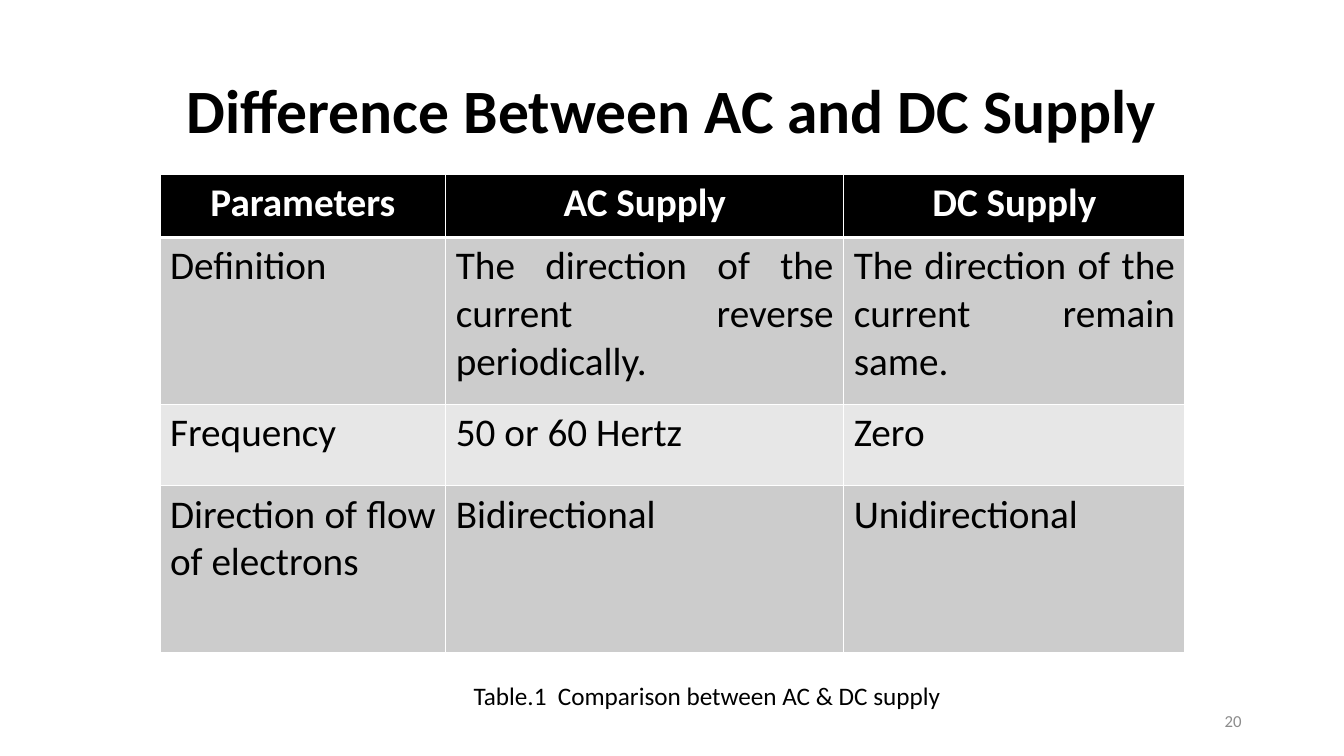
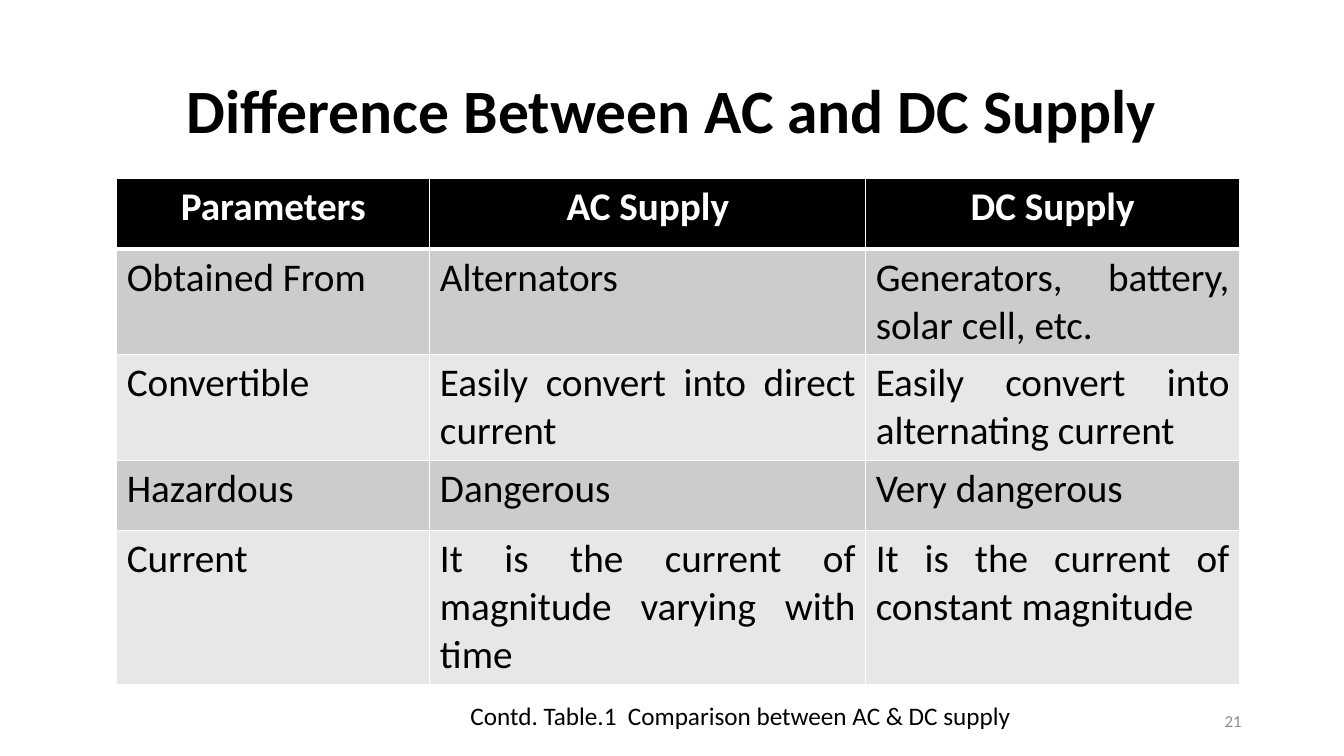
from dataclasses import dataclass

from lxml.etree import SubElement
from pptx import Presentation
from pptx.dml.color import RGBColor
from pptx.enum.text import MSO_ANCHOR as Anchor, MSO_AUTO_SIZE as AutoSize, PP_ALIGN as Align
from pptx.oxml.ns import qn
from pptx.util import Pt

# Shared style
FONT = "Calibri"
TITLE = "Difference Between AC and DC Supply"
HEADER = ("Parameters", "AC Supply", "DC Supply")
COLORS = {
    "text": "000000",
    "header": "000000",
    "header_text": "FFFFFF",
    "band_dark": "CCCCCC",
    "band_light": "E7E7E7",
    "border": "FFFFFF",
    "number": "8C8C8C",
}
TITLE_ONLY = 5
THIN, THICK = 1, 3


@dataclass(frozen=True)
class Box:
    left: float
    top: float
    width: float
    height: float

    def emu(self) -> tuple:
        return Pt(self.left), Pt(self.top), Pt(self.width), Pt(self.height)


@dataclass(frozen=True)
class ComparisonSlide:
    number: int
    left: float
    top: float
    col_widths: tuple
    row_heights: tuple
    rows: tuple
    caption: str
    caption_box: Box


TITLE_BOX = Box(66, 28.8, 828, 104.4)
NUMBER_BOX = Box(678, 500.5, 216, 28.75)

SLIDES = (
    ComparisonSlide(
        number=20, left=114.3, top=124.7,
        col_widths=(204.2, 284.2, 243.8),
        row_heights=(45, 119, 58.3, 119),
        rows=(
            ("Definition", "The direction of the current reverse periodically.",
             "The direction of the current remain same."),
            ("Frequency", "50 or 60 Hertz", "Zero"),
            ("Direction of flow of electrons", "Bidirectional", "Unidirectional"),
        ),
        caption="Table.1  Comparison between AC & DC supply",
        caption_box=Box(331.2, 482.6, 352, 29),
    ),
    ComparisonSlide(
        number=21, left=83.4, top=127.6,
        col_widths=(223.7, 311.3, 267),
        row_heights=(50.2, 75.5, 75.5, 50.2, 109.8),
        rows=(
            ("Obtained From", "Alternators", "Generators, battery, solar cell, etc."),
            ("Convertible", "Easily convert into direct current",
             "Easily convert into alternating current"),
            ("Hazardous", "Dangerous", "Very dangerous"),
            ("Current", "It is the current of magnitude varying with time",
             "It is the current of constant magnitude"),
        ),
        caption="Contd. Table.1  Comparison between AC & DC supply",
        caption_box=Box(329, 497, 403.2, 29),
    ),
)


def rgb(name: str) -> RGBColor:
    return RGBColor.from_string(COLORS[name])


def write(tf, text: str, size: float, color: str, align, bold: bool = False):
    """Fill a text frame with one formatted paragraph and return it."""
    tf.text = text
    p = tf.paragraphs[0]
    p.alignment = align
    p.font.name = FONT
    p.font.size = Pt(size)
    p.font.bold = bold
    p.font.color.rgb = rgb(color)
    return p


def set_borders(cell, top: float, bottom: float) -> None:
    tc_pr = cell._tc.get_or_add_tcPr()
    for tag, width in (("a:lnL", THIN), ("a:lnR", THIN), ("a:lnT", top), ("a:lnB", bottom)):
        ln = SubElement(tc_pr, qn(tag), w=str(Pt(width)))
        fill = SubElement(ln, qn("a:solidFill"))
        SubElement(fill, qn("a:srgbClr"), val=COLORS["border"])


def add_title(s) -> None:
    sp = s.shapes.title
    sp.left, sp.top, sp.width, sp.height = TITLE_BOX.emu()
    p = write(sp.text_frame, TITLE, 44, "text", Align.CENTER, bold=True)
    p.line_spacing = 0.9
    sp.text_frame.vertical_anchor = Anchor.MIDDLE
    sp.text_frame.auto_size = AutoSize.NONE


def add_number(s, number: int) -> None:
    tf = s.shapes.add_textbox(*NUMBER_BOX.emu()).text_frame
    tf.word_wrap = True
    tf.vertical_anchor = Anchor.MIDDLE
    write(tf, str(number), 12, "number", Align.RIGHT)


def add_caption(s, text: str, box: Box) -> None:
    tf = s.shapes.add_textbox(*box.emu()).text_frame
    tf.word_wrap = False
    tf.auto_size = AutoSize.SHAPE_TO_FIT_TEXT
    write(tf, text, 18, "text", Align.LEFT)


def add_comparison(s, data: ComparisonSlide) -> None:
    box = Box(data.left, data.top, sum(data.col_widths), sum(data.row_heights))
    grid = (HEADER, *data.rows)
    table = s.shapes.add_table(len(grid), len(HEADER), *box.emu()).table
    for column, width in zip(table.columns, data.col_widths):
        column.width = Pt(width)
    for row, height in zip(table.rows, data.row_heights):
        row.height = Pt(height)

    for i, texts in enumerate(grid):
        is_header = i == 0
        band = "header" if is_header else "band_dark" if i % 2 else "band_light"
        for j, text in enumerate(texts):
            cell = table.cell(i, j)
            set_borders(cell, THICK if i == 1 else THIN, THICK if is_header else THIN)
            cell.fill.solid()
            cell.fill.fore_color.rgb = rgb(band)
            write(cell.text_frame, text, 28,
                  "header_text" if is_header else "text",
                  Align.CENTER if is_header else Align.JUSTIFY, bold=is_header)


# Build the slides
prs = Presentation()
prs.slide_width, prs.slide_height = Pt(960), Pt(540)
for data in SLIDES:
    s = prs.slides.add_slide(prs.slide_layouts[TITLE_ONLY])
    add_title(s)
    add_number(s, data.number)
    add_comparison(s, data)
    add_caption(s, data.caption, data.caption_box)
prs.save("out.pptx")
